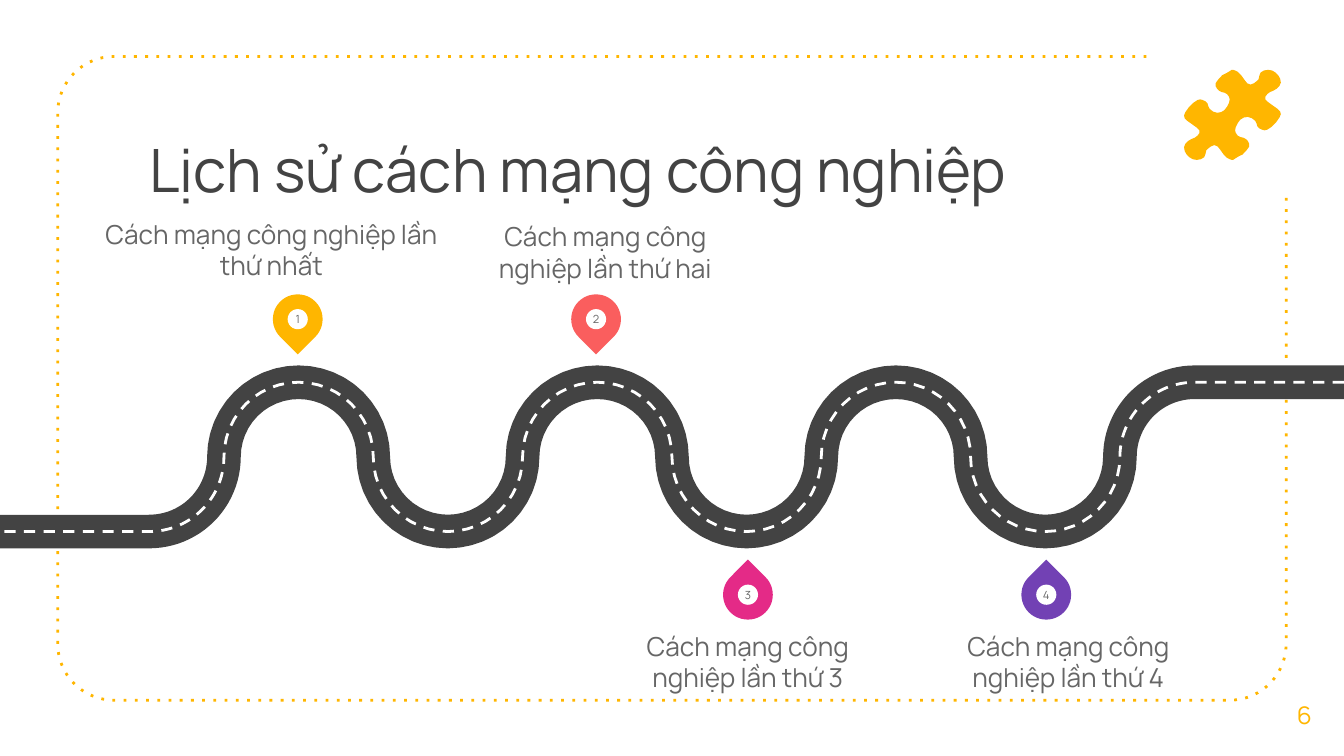
import math

import pptx
import pptx.dml.color
import pptx.enum.dml
import pptx.enum.shapes
import pptx.enum.text
import pptx.oxml.ns
import pptx.util
from pptx.util import Inches

ALIGN = pptx.enum.text.PP_ALIGN
ANCHOR = pptx.enum.text.MSO_ANCHOR
SHAPE = pptx.enum.shapes.MSO_SHAPE
FONT = "Manrope"
COLORS = {"yellow": "FFB600", "coral": "FA5E5E", "pink": "E42A87", "purple": "7241B4",
          "dark": "434343", "grey": "666666", "white": "FFFFFF"}
ROAD_RADIUS = 10 / 18
ROAD_MIDDLE = 3.4
PINS = [("1", 2.03, 2.19, 135, "yellow"), ("2", 4.25, 2.19, 135, "coral"),
        ("3", 5.38, 4.24, 315, "pink"), ("4", 7.6, 4.24, 315, "purple")]
LABELS = [("nhất", 0.77, 1.51, 2.5, ANCHOR.BOTTOM), ("hai", 3.59, 1.53, 1.83, ANCHOR.BOTTOM),
          ("3", 4.61, 4.69, 1.91, ANCHOR.TOP), ("4", 7, 4.69, 1.9, ANCHOR.TOP)]
PUZZLE_CENTER = (9.17, 0.855)
PUZZLE_HALF = [
    (9.17, 0.52), (9.16, 0.52), (9.14, 0.54), (9.11, 0.55), (9.08, 0.57), (9.06, 0.6),
    (9.05, 0.61), (9.04, 0.63), (9.05, 0.65), (9.06, 0.67), (9.08, 0.68), (9.1, 0.69),
    (9.12, 0.69), (9.14, 0.71), (9.15, 0.73), (9.15, 0.75), (9.14, 0.78), (9.12, 0.81),
    (9.1, 0.83), (9.07, 0.84), (9.04, 0.84), (9.01, 0.82), (8.99, 0.8), (8.99, 0.78),
    (8.98, 0.76), (8.96, 0.75), (8.94, 0.74), (8.92, 0.74), (8.9, 0.75), (8.86, 0.78),
    (8.83, 0.82), (8.81, 0.85), (8.81, 0.87), (8.82, 0.89), (8.85, 0.91), (8.89, 0.94),
    (8.92, 0.96), (8.93, 0.98), (8.92, 1), (8.9, 1.02), (8.88, 1.03), (8.85, 1.04),
    (8.83, 1.06), (8.81, 1.08), (8.81, 1.11), (8.82, 1.14), (8.84, 1.16), (8.86, 1.18),
    (8.89, 1.19), (8.92, 1.19), (8.95, 1.18), (8.97, 1.16), (8.97, 1.13), (8.98, 1.11),
    (9, 1.1), (9.02, 1.08), (9.05, 1.08), (9.07, 1.1), (9.09, 1.13), (9.12, 1.17),
    (9.14, 1.18), (9.16, 1.19)]


def color(name):
    """Return the named colour."""
    return pptx.dml.color.RGBColor.from_string(COLORS[name])


def arc(center_x, center_y, radius, start, end):
    """Return points along an arc, in degrees clockwise from the right."""
    steps = 24
    angles = [math.radians(start + (end - start) * i / steps) for i in range(steps + 1)]
    return [(center_x + radius * math.cos(a), center_y + radius * math.sin(a)) for a in angles]


def write(shape, text, size, color_name, align, anchor, inset=0):
    """Write one formatted run into a shape."""
    frame = shape.text_frame
    frame.word_wrap = True
    frame.auto_size = pptx.enum.text.MSO_AUTO_SIZE.NONE
    frame.vertical_anchor = anchor
    frame.margin_left = frame.margin_right = Inches(inset)
    frame.margin_top = frame.margin_bottom = Inches(inset)
    paragraph = frame.paragraphs[0]
    paragraph.alignment = align
    run = paragraph.add_run()
    run.text = text
    run.font.name = FONT
    run.font.size = pptx.util.Pt(size)
    run.font.color.rgb = color(color_name)


def paint(shape, color_name):
    """Give a shape a plain fill without line or shadow."""
    shape.shadow.inherit = False
    shape.fill.solid()
    shape.fill.fore_color.rgb = color(color_name)
    shape.line.fill.background()


def add_outline(slide, points, closed=False):
    """Draw a freeform through points given in inches."""
    points = [(Inches(x), Inches(y)) for x, y in points]
    builder = slide.shapes.build_freeform(*points[0], scale=1.0)
    builder.add_line_segments(points[1:], close=closed)
    return builder.convert_to_shape()


def add_path(slide, points, color_name, width, dash="solid"):
    """Draw an open line with a preset dash."""
    shape = add_outline(slide, points)
    shape.shadow.inherit = False
    shape.fill.background()
    shape.line.color.rgb = color(color_name)
    shape.line.width = pptx.util.Pt(width)
    shape.line.dash_style = pptx.enum.dml.MSO_LINE.SOLID
    shape.element.find(".//" + pptx.oxml.ns.qn("a:prstDash")).set("val", dash)


def add_frame(slide):
    """Draw the dotted frame that is open at the top right."""
    left, top, right, bottom, radius = 0.43, 0.42, 9.57, 5.21, 0.42
    points = [(8.53, top)]
    points += arc(left + radius, top + radius, radius, 270, 180)
    points += arc(left + radius, bottom - radius, radius, 180, 90)
    points += arc(right - radius, bottom - radius, radius, 90, 0)
    points.append((right, 1.46))
    add_path(slide, points, "yellow", 1.5, "dot")


def add_road(slide):
    """Draw the winding road and its dashed centre line."""
    points = [(10, ROAD_MIDDLE - ROAD_RADIUS)]
    for bend in range(8, 0, -1):
        turn = -180 if bend % 2 == 0 else 180
        start = 270 if bend == 8 else 0
        end = 90 if bend == 1 else (180 if bend == 8 else turn)
        points += arc(bend * 2 * ROAD_RADIUS, ROAD_MIDDLE, ROAD_RADIUS, start, end)
    points.append((0, ROAD_MIDDLE + ROAD_RADIUS))
    add_path(slide, points, "dark", 18)
    add_path(slide, points, "white", 1.5, "dash")


def add_pin(slide, number, left, top, rotation, color_name):
    """Group a teardrop with its numbered dot."""
    group = slide.shapes.add_group_shape()
    drop = group.shapes.add_shape(SHAPE.TEAR, Inches(left), Inches(top),
                                  Inches(0.37), Inches(0.37))
    drop.rotation = rotation
    paint(drop, color_name)
    dot = group.shapes.add_shape(SHAPE.OVAL, Inches(left + 0.11), Inches(top + 0.11),
                                 Inches(0.15), Inches(0.15))
    paint(dot, "white")
    write(dot, number, 6, "grey", ALIGN.CENTER, ANCHOR.MIDDLE)


def add_text(slide, text, left, top, width, height, size, color_name, anchor, inset=0):
    """Add a centred text box."""
    box = slide.shapes.add_textbox(Inches(left), Inches(top), Inches(width), Inches(height))
    write(box, text, size, color_name, ALIGN.CENTER, anchor, inset)


def add_puzzle(slide):
    """Draw the puzzle piece from one half and its half turn, smoothed."""
    center_x, center_y = PUZZLE_CENTER
    points = PUZZLE_HALF + [(2 * center_x - x, 2 * center_y - y) for x, y in PUZZLE_HALF]
    following = points[1:] + points[:1]
    middles = [((a + c) / 2, (b + d) / 2) for (a, b), (c, d) in zip(points, following)]
    paint(add_outline(slide, middles, closed=True), "yellow")


def main():
    """Build the slide and save it."""
    presentation = pptx.Presentation()
    presentation.slide_width = Inches(10)
    presentation.slide_height = presentation.slide_width * 9 // 16
    slide = presentation.slides.add_slide(presentation.slide_layouts[5])
    title = slide.shapes.title
    title.left, title.top = Inches(1.01), Inches(0.89)
    title.width, title.height = Inches(7.97), Inches(0.94)
    write(title, "Lịch sử cách mạng công nghiệp", 32, "dark", ALIGN.LEFT, ANCHOR.TOP, 0.1)
    add_frame(slide)
    add_text(slide, "6", 9.41, 5.02, 0.59, 0.6, 13, "yellow", ANCHOR.MIDDLE, 0.1)
    add_road(slide)
    for pin in PINS:
        add_pin(slide, *pin)
    for ordinal, left, top, width, anchor in LABELS:
        add_text(slide, f"Cách mạng công nghiệp lần thứ {ordinal}",
                 left, top, width, 0.58, 14, "grey", anchor)
    add_puzzle(slide)
    presentation.save("out.pptx")


if __name__ == "__main__":
    main()
